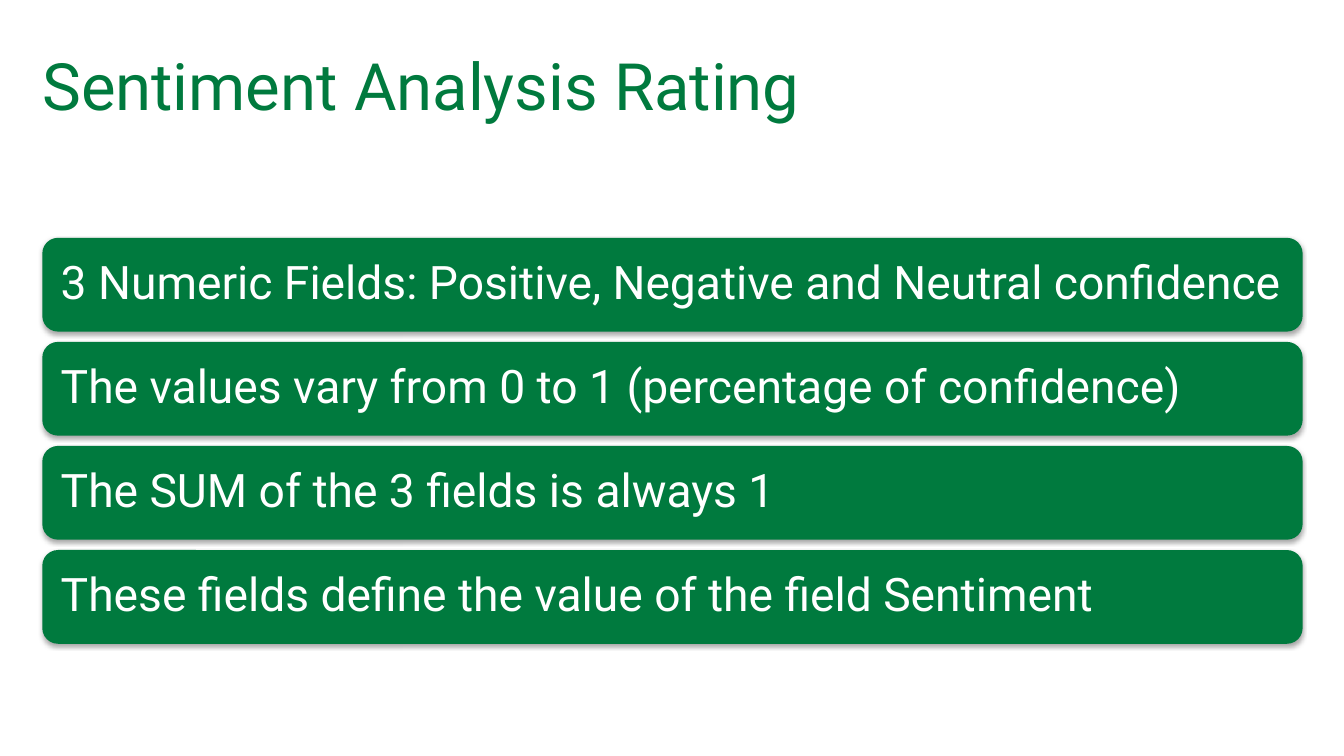
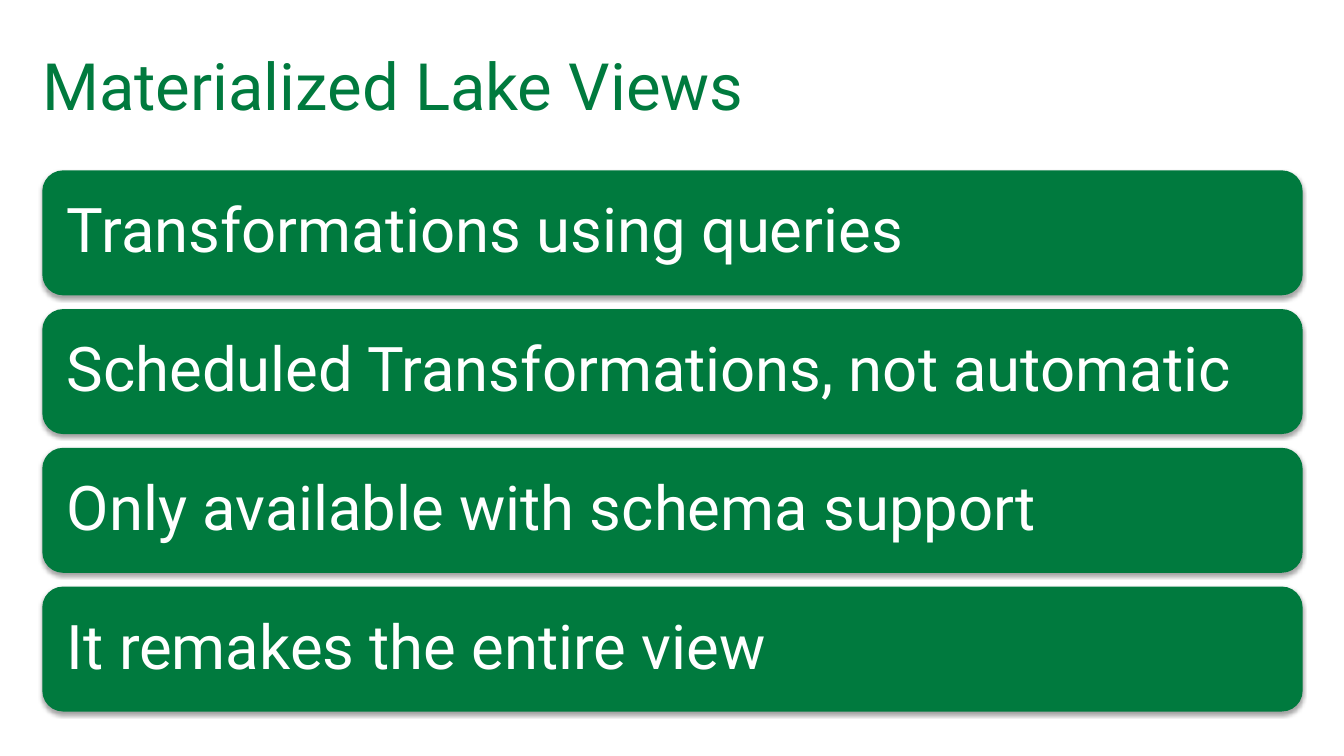
from lxml import etree
from pptx import Presentation
from pptx.dml.color import RGBColor
from pptx.enum.shapes import MSO_SHAPE
from pptx.enum.text import MSO_ANCHOR, PP_ALIGN
from pptx.oxml.ns import qn
from pptx.util import Inches, Pt

GREEN, WHITE, BLACK = "007A3E", "FFFFFF", "000000"
FONT = "Roboto"
WIDTH, HEIGHT = 13.33, 7.5
MARGIN = 0.42
CONTENT_WIDTH = 12.5
TITLE_HEIGHT, TITLE_SIZE = 0.83, 46.6
GAP_SHARE = 0.11    # gap between bars, as a share of bar height
INSET_SHARE = 0.3   # left inset of a bar, as a share of its text size

SLIDES = [
    {
        "title": "Sentiment Analysis Rating",
        "top": 2.36, "bar_height": 0.93, "text_size": 33,
        "points": [
            "3 Numeric Fields: Positive, Negative and Neutral confidence",
            "The values vary from 0 to 1 (percentage of confidence)",
            "The SUM of the 3 fields is always 1",
            "These fields define the value of the field Sentiment",
        ],
    },
    {
        "title": "Materialized Lake Views",
        "top": 1.69, "bar_height": 1.24, "text_size": 44,
        "points": [
            "Transformations using queries",
            "Scheduled Transformations, not automatic",
            "Only available with schema support",
            "It remakes the entire view",
        ],
    },
]


def rgb(value):
    return RGBColor.from_string(value)


def write(shape, text, size, color, left_inset=0):
    frame = shape.text_frame
    frame.text = text
    frame.word_wrap = True
    frame.vertical_anchor = MSO_ANCHOR.MIDDLE
    frame.margin_left = Pt(left_inset)
    frame.margin_top = frame.margin_right = frame.margin_bottom = 0
    paragraph = frame.paragraphs[0]
    paragraph.alignment = PP_ALIGN.LEFT
    font = paragraph.runs[0].font
    font.name, font.size = FONT, Pt(size)
    font.color.rgb = rgb(color)
    return paragraph


def add_soft_shadow(shape):
    shape.shadow.inherit = False
    effects = shape.element.spPr.find(qn("a:effectLst"))
    shadow = etree.SubElement(
        effects, qn("a:outerShdw"), blurRad=str(Pt(3.1)), dist=str(Pt(1.8)),
        dir="5400000", rotWithShape="0")
    color = etree.SubElement(shadow, qn("a:srgbClr"), val=BLACK)
    etree.SubElement(color, qn("a:alpha"), val="35000")


def add_title(slide, text):
    box = slide.shapes.add_textbox(
        *map(Inches, (MARGIN, MARGIN, CONTENT_WIDTH, TITLE_HEIGHT)))
    write(box, text, TITLE_SIZE, GREEN)


def add_bar(slide, text, top, height, size):
    bar = slide.shapes.add_shape(
        MSO_SHAPE.ROUNDED_RECTANGLE,
        *map(Inches, (MARGIN, top, CONTENT_WIDTH, height)))
    bar.fill.solid()
    bar.fill.fore_color.rgb = rgb(GREEN)
    bar.line.fill.background()
    add_soft_shadow(bar)
    paragraph = write(bar, text, size, WHITE, size * INSET_SHARE)
    paragraph.line_spacing = 0.9


def main():
    presentation = Presentation()
    presentation.slide_width = Inches(WIDTH)
    presentation.slide_height = Inches(HEIGHT)
    for content in SLIDES:
        slide = presentation.slides.add_slide(presentation.slide_layouts[6])
        add_title(slide, content["title"])
        height = content["bar_height"]
        for row, point in enumerate(content["points"]):
            top = content["top"] + row * height * (1 + GAP_SHARE)
            add_bar(slide, point, top, height, content["text_size"])
    presentation.save("out.pptx")


if __name__ == "__main__":
    main()
